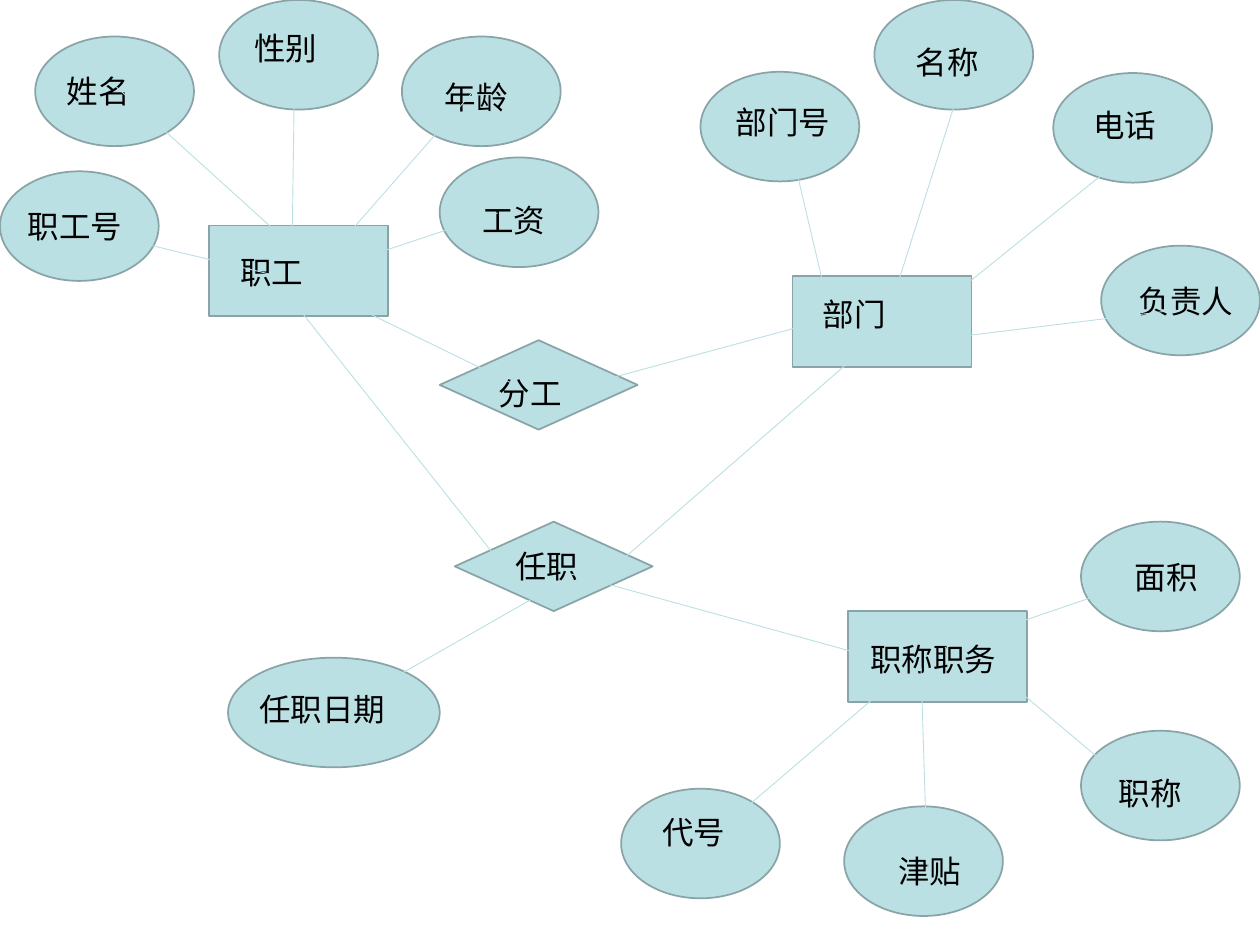
from lxml import etree
from pptx import Presentation
from pptx.dml.color import RGBColor
from pptx.enum.shapes import MSO_CONNECTOR, MSO_SHAPE
from pptx.enum.text import MSO_AUTO_SIZE, PP_ALIGN
from pptx.oxml.ns import qn
from pptx.util import Inches, Pt

ELLIPSE = MSO_SHAPE.OVAL
RECTANGLE = MSO_SHAPE.RECTANGLE
DIAMOND = MSO_SHAPE.FLOWCHART_DECISION
STRAIGHT = MSO_CONNECTOR.STRAIGHT
GROW = MSO_AUTO_SIZE.SHAPE_TO_FIT_TEXT
LEFT = PP_ALIGN.LEFT

PALE_TEAL = RGBColor(0xBB, 0xE0, 0xE3)
GREY_TEAL = RGBColor(0x89, 0xA4, 0xA7)
BLACK = RGBColor(0, 0, 0)

ATTRIBUTE_SIZE = (1.26, 0.87)
WIDE_ATTRIBUTE_SIZE = (1.68, 0.87)
ENTITY_SIZE = (1.42, 0.72)
RELATION_SIZE = (1.57, 0.71)
LABEL_HEIGHT = 0.4

ATTRIBUTES = [
    ("姓名", (0.28, 0.29), (0.43, 0.52, 0.95)),
    ("职工号", (0, 1.36), (0.12, 1.59, 1.02)),
    ("性别", (1.74, 0), (1.92, 0.18, 0.88)),
    ("年龄", (3.19, 0.29), (3.43, 0.57, 0.86)),
    ("工资", (3.49, 1.25), (3.73, 1.55, 0.88)),
    ("部门号", (5.56, 0.57), (5.74, 0.77, 1.08)),
    ("名称", (6.94, 0), (7.17, 0.29, 0.9)),
    ("电话", (8.36, 0.58), (8.58, 0.79, 0.83)),
    ("负责人", (8.74, 1.95), (8.94, 2.19, 1.06)),
    ("面积", (8.58, 4.14), (8.91, 4.38, 0.74)),
    ("职称", (8.58, 5.8), (8.78, 6.09, 0.94)),
    ("津贴", (6.7, 6.4), (7.03, 6.71, 0.96)),
    ("代号", (4.93, 6.26), (5.16, 6.4, 0.94)),
]
WIDE_ATTRIBUTES = [("任职日期", (1.81, 5.22), (1.96, 5.43, 1.53))]
ENTITIES = [
    ("职工", (1.66, 1.79), (1.81, 1.96, 0.99)),
    ("部门", (6.29, 2.19), (6.43, 2.29, 0.95)),
    ("职称职务", (6.73, 4.85), (6.81, 5.03, 1.34)),
]
RELATIONS = [
    ("任职", (3.61, 4.14), (3.99, 4.29, 0.81)),
    ("分工", (3.49, 2.7), (3.86, 2.92, 0.82)),
]
NODE_GROUPS = [
    (ELLIPSE, ATTRIBUTE_SIZE, ATTRIBUTES),
    (ELLIPSE, WIDE_ATTRIBUTE_SIZE, WIDE_ATTRIBUTES),
    (RECTANGLE, ENTITY_SIZE, ENTITIES),
    (DIAMOND, RELATION_SIZE, RELATIONS),
]
LINKS = [
    ((0.92, 1.88), (2.16, 2.18)),
    ((0.89, 0.66), (2.48, 2.1)),
    ((2.34, 0.4), (2.32, 1.86)),
    ((3.77, 0.71), (2.48, 2.18)),
    ((3.95, 1.69), (2.72, 2.1)),
    ((2.42, 2.24), (4.06, 3.04)),
    ((2.3, 2.36), (3.99, 4.49)),
    ((4.93, 4.45), (6.81, 2.81)),
    ((4.37, 3.13), (6.73, 2.49)),
    ((6.28, 1.18), (6.57, 2.41)),
    ((7.62, 0.69), (7.05, 2.49)),
    ((8.99, 1.19), (7.38, 2.49)),
    ((9.26, 2.47), (7.13, 2.73)),
    ((4.51, 4.55), (7.05, 5.25)),
    ((7.17, 5.34), (5.71, 6.59)),
    ((7.31, 5.3), (7.36, 6.9)),
    ((7.5, 5.14), (9.02, 4.62)),
    ((7.88, 5.31), (9.02, 6.27)),
    ((4.51, 4.59), (2.95, 5.48)),
]


def write_text(frame, text, *, font="Arial", size=18, color=BLACK, align=LEFT):
    para = frame.paragraphs[0]
    para.alignment = align
    span = para.add_run()
    span.text = text
    span.font.name = font
    span.font.size = Pt(size)
    span.font.color.rgb = color


class Diagram:
    def __init__(self, page, fill=PALE_TEAL, outline=GREY_TEAL):
        self.page = page
        self.fill = fill
        self.outline = outline

    def node(self, kind, position, size):
        shape = self.page.shapes.add_shape(kind, *map(Inches, position + size))
        shape.shadow.inherit = False
        shape.fill.solid()
        shape.fill.fore_color.rgb = self.fill
        shape.line.color.rgb = self.outline
        shape.line.width = Pt(1)

    def label(self, text, left, top, width):
        box = self.page.shapes.add_textbox(
            Inches(left), Inches(top), Inches(width), Inches(LABEL_HEIGHT)
        )
        box.text_frame.word_wrap = True
        box.text_frame.auto_size = GROW
        write_text(box.text_frame, text)

    def link(self, start, end):
        line = self.page.shapes.add_connector(STRAIGHT, *map(Inches, start + end))
        line.line.color.rgb = self.fill
        line.line.width = Pt(0.5)
        etree.SubElement(line._element.spPr, qn("a:effectLst"))


def main():
    deck = Presentation()
    deck.slide_width = Inches(10)
    deck.slide_height = Inches(7.5)
    page = deck.slides.add_slide(deck.slide_layouts[6])
    diagram = Diagram(page)
    for kind, size, nodes in NODE_GROUPS:
        for text, position, label_place in nodes:
            diagram.node(kind, position, size)
            diagram.label(text, *label_place)
    for start, end in LINKS:
        diagram.link(start, end)
    deck.save("out.pptx")


if __name__ == "__main__":
    main()
